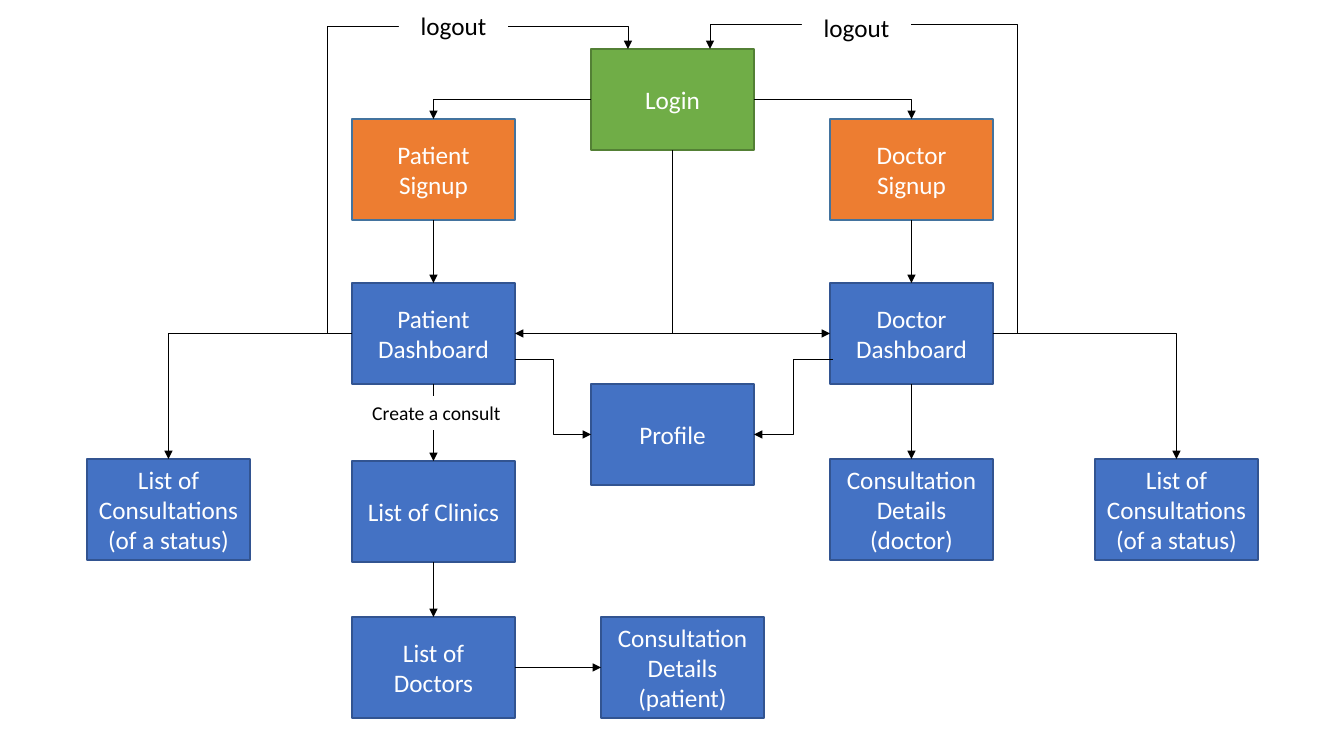
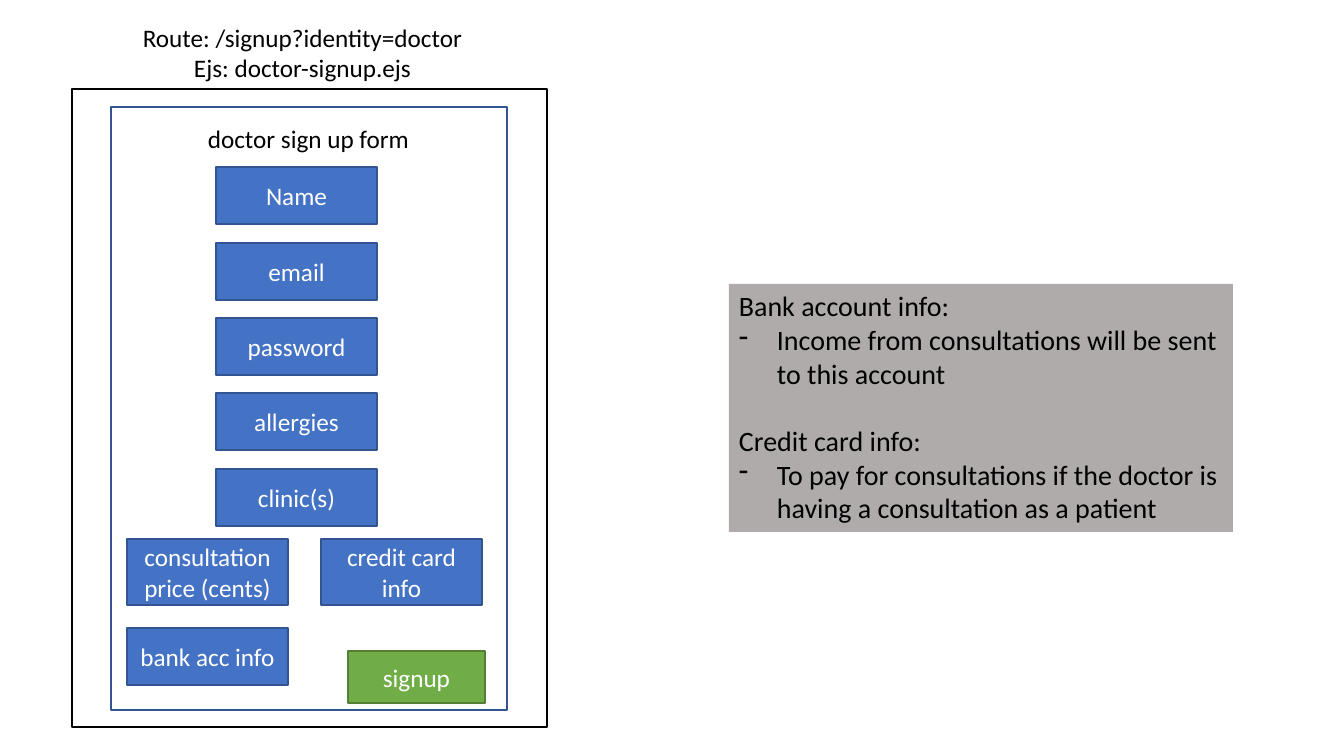
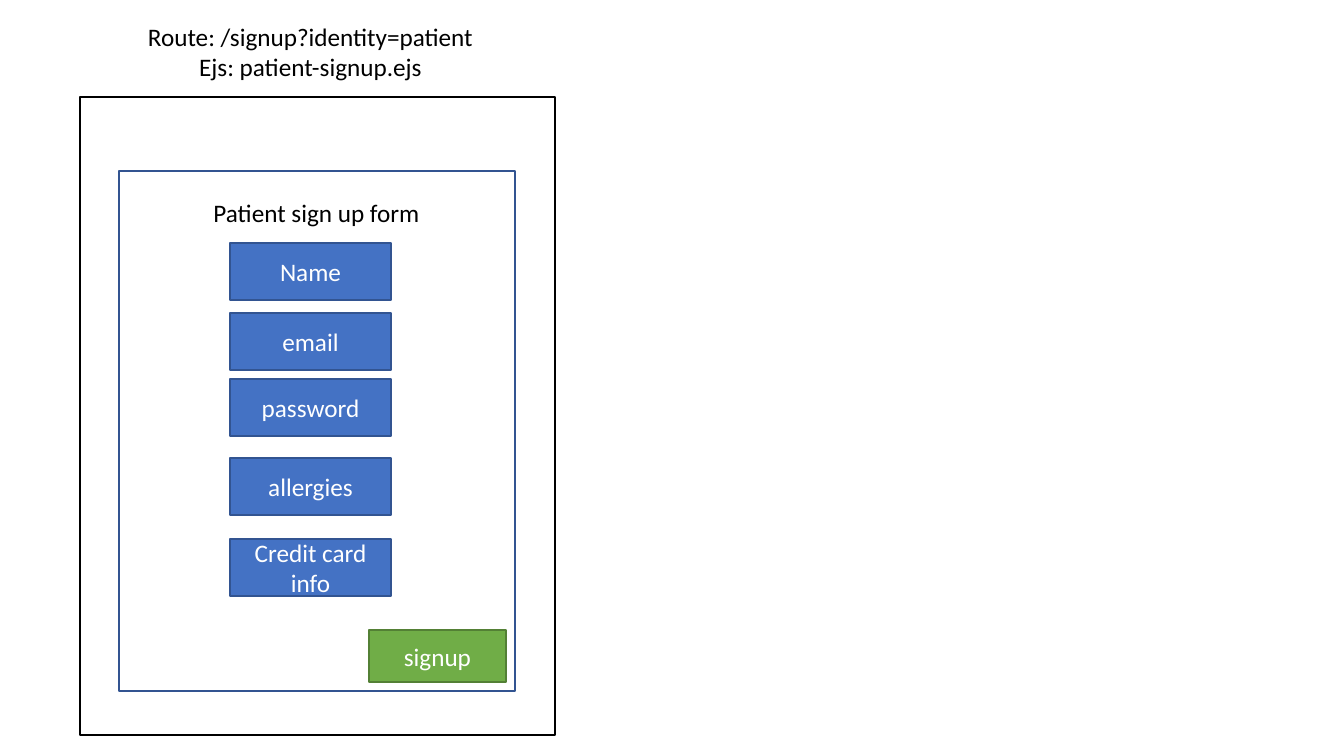
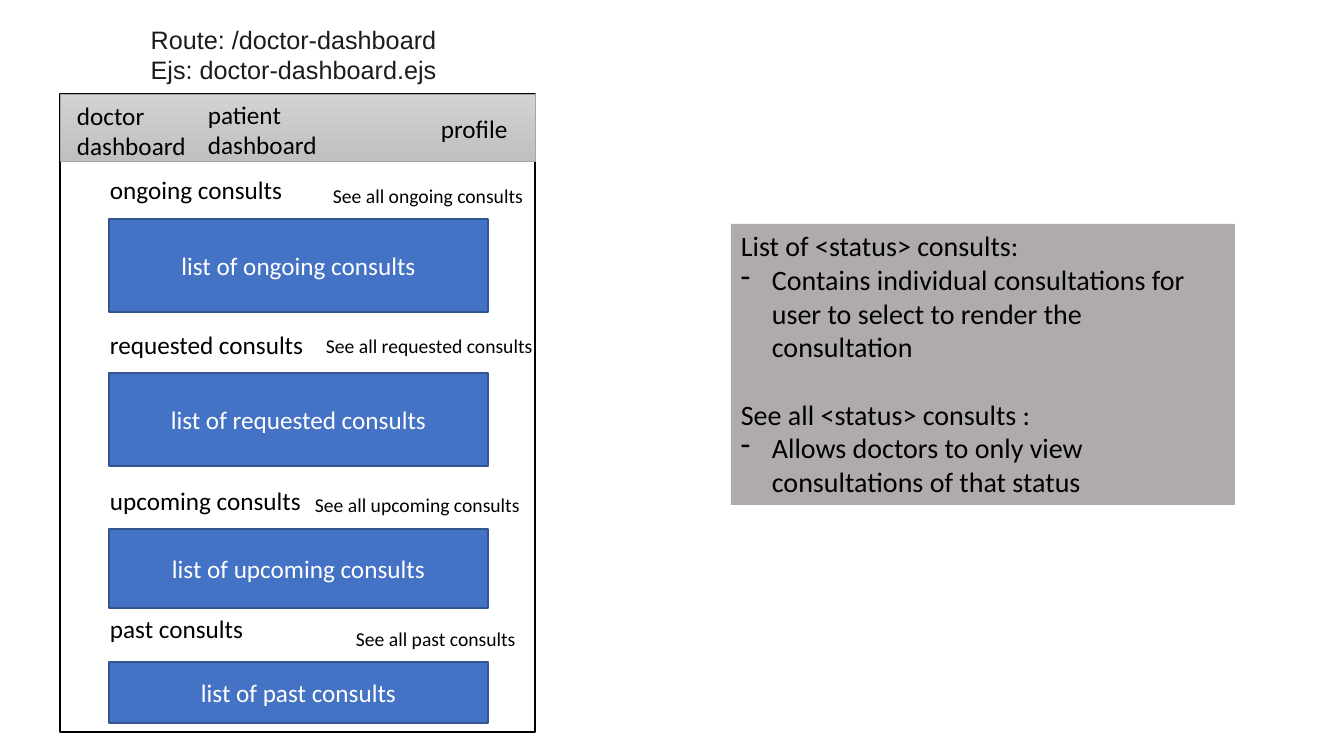
"""Build the clinic app flow chart and its three page wireframes."""
import dataclasses

import lxml.etree
import pptx
import pptx.dml.color
import pptx.enum.shapes
import pptx.enum.text
import pptx.oxml.ns
import pptx.util

Shape = pptx.enum.shapes.MSO_SHAPE
Connector = pptx.enum.shapes.MSO_CONNECTOR
Align = pptx.enum.text.PP_ALIGN
Anchor = pptx.enum.text.MSO_ANCHOR
qn = pptx.oxml.ns.qn
TOP, LEFT, BOTTOM, RIGHT = range(4)


@dataclasses.dataclass(frozen=True)
class Theme:
    """Colours, fonts and sizes shared by every slide."""
    blue: tuple = ("4472C4", "325491")
    green: tuple = ("70AD47", "538035")
    orange: tuple = ("ED7D31", "43739E")
    note: str = "AFABAB"
    bar_stops: tuple = ("D2D2D2", "C0C0C0")
    bar_edge: str = "A5A5A5"
    white: str = "FFFFFF"
    black: str = "000000"
    route_grey: str = "1D1C1D"
    font: str = "Calibri"
    route_font: str = "Arial"
    small: int = 14
    body: int = 18
    large: int = 20
    edge: float = 1
    thin: float = 0.5


@dataclasses.dataclass(frozen=True)
class Box:
    """A rectangle in pixels."""
    x: int
    y: int
    w: int
    h: int

    def inside(self, dx, dy, w, h):
        """Return a box offset from this one's top left corner."""
        return Box(self.x + dx, self.y + dy, w, h)

    def emu(self):
        """Return left, top, width and height in EMU."""
        return [px(value) for value in (self.x, self.y, self.w, self.h)]

    def site(self, side):
        """Return the middle point of one side."""
        return {
            TOP: (self.x + self.w / 2, self.y),
            LEFT: (self.x, self.y + self.h / 2),
            BOTTOM: (self.x + self.w / 2, self.y + self.h),
            RIGHT: (self.x + self.w, self.y + self.h / 2),
        }[side]


THEME = Theme()
PAGE = Box(0, 0, 1344, 756)
FRAME_SIZE = (475, 638)


def px(value):
    """Turn pixels into EMU."""
    return pptx.util.Emu(round(value * 914400 / 100.8))


def rgb(code):
    """Turn a hex code into a colour."""
    return pptx.dml.color.RGBColor.from_string(code)


def add_run(paragraph, text, size, colour, font):
    """Add one styled run."""
    run = paragraph.add_run()
    run.text = text
    run.font.name = font
    run.font.size = pptx.util.Pt(size)
    run.font.color.rgb = rgb(colour)


def write(shape, paragraphs, size=THEME.body, colour=THEME.black, font=THEME.font,
          align=Align.LEFT, anchor=Anchor.TOP):
    """Write paragraphs into a shape; a newline inside one is a line break."""
    frame = shape.text_frame
    frame.word_wrap = True
    frame.vertical_anchor = anchor
    for index, text in enumerate(paragraphs):
        paragraph = frame.add_paragraph() if index else frame.paragraphs[0]
        paragraph.alignment = align
        for number, line in enumerate(text.split("\n")):
            if number:
                paragraph.add_line_break()
            add_run(paragraph, line, size, colour, font)


def panel(shapes, box, fill=None, edge=None, kind=Shape.RECTANGLE):
    """Draw a plain shape with an optional fill and outline."""
    shape = shapes.add_shape(kind, *box.emu())
    shape.shadow.inherit = False
    if fill:
        shape.fill.solid()
        shape.fill.fore_color.rgb = rgb(fill)
    else:
        shape.fill.background()
    if edge:
        shape.line.color.rgb = rgb(edge)
        shape.line.width = pptx.util.Pt(THEME.edge)
    else:
        shape.line.fill.background()
    return shape


def tile(shapes, box, label, colours=THEME.blue, kind=Shape.RECTANGLE):
    """Draw a coloured block with a centred white label."""
    shape = panel(shapes, box, *colours, kind=kind)
    write(shape, [label], colour=THEME.white, align=Align.CENTER, anchor=Anchor.MIDDLE)
    return shape


def caption(shapes, box, *paragraphs, **style):
    """Add a text box."""
    write(shapes.add_textbox(*box.emu()), paragraphs, **style)


def arrow(shapes, start, end, bend="straightConnector1", adjust=(), tip="tailEnd"):
    """Draw an arrow between two points with an optional bend."""
    kind = Connector.ELBOW if bend.startswith("bent") else Connector.STRAIGHT
    line = shapes.add_connector(kind, *[px(value) for value in (*start, *end)])
    line.line.color.rgb = rgb(THEME.black)
    line.line.width = pptx.util.Pt(THEME.thin)
    properties = line._element.spPr
    geometry = properties.find(qn("a:prstGeom"))
    geometry.set("prst", bend)
    guides = geometry.find(qn("a:avLst"))
    for number, share in enumerate(adjust, 1):
        lxml.etree.SubElement(guides, qn("a:gd"), name=f"adj{number}",
                              fmla=f"val {round(share * 100000)}")
    lxml.etree.SubElement(properties.find(qn("a:ln")), qn(f"a:{tip}"), type="triangle")
    lxml.etree.SubElement(properties, qn("a:effectLst"))
    return line


def draw_flow(slide, box):
    """Draw the flow chart of pages from login to consultation."""
    shapes = slide.shapes
    steps = {
        "login": ("Login", 591, 49, THEME.green),
        "doctor signup": ("Doctor Signup", 830, 119, THEME.orange),
        "patient signup": ("Patient Signup", 352, 119, THEME.orange),
        "patient": ("Patient Dashboard", 352, 283, THEME.blue),
        "doctor": ("Doctor Dashboard", 830, 283, THEME.blue),
        "profile": ("Profile", 591, 384, THEME.blue),
        "clinics": ("List of Clinics", 352, 461, THEME.blue),
        "doctors": ("List of Doctors", 352, 617, THEME.blue),
        "patient details": ("Consultation Details (patient)", 601, 617, THEME.blue),
        "doctor details": ("Consultation Details (doctor)", 830, 459, THEME.blue),
        "patient list": ("List of Consultations (of a status)", 87, 459, THEME.blue),
        "doctor list": ("List of Consultations (of a status)", 1095, 459, THEME.blue),
    }
    places, blocks = {}, {}
    for step, (label, x, y, colours) in steps.items():
        places[step] = box.inside(x, y, 163, 101)
        blocks[step] = tile(shapes, places[step], label, colours, Shape.FLOWCHART_PROCESS)

    def link(origin, origin_side, target, target_side, **style):
        """Join two steps at the middle of their sides."""
        line = arrow(shapes, places[origin].site(origin_side),
                     places[target].site(target_side), **style)
        line.begin_connect(blocks[origin], origin_side)
        line.end_connect(blocks[target], target_side)

    for origin, target in (("patient signup", "patient"), ("doctor signup", "doctor"),
                           ("patient", "clinics"), ("clinics", "doctors"),
                           ("doctor", "doctor details")):
        link(origin, BOTTOM, target, TOP)
    link("doctors", RIGHT, "patient details", LEFT)

    login, profile = places["login"], places["profile"]
    for role, outer, inner, lane, rise, exit_x, inset in (
            ("patient", LEFT, RIGHT, 25, 23, 37, 0),
            ("doctor", RIGHT, LEFT, 24, 25, 119, 3)):
        link("login", outer, f"{role} signup", TOP, bend="bentConnector2")
        link(role, inner, "login", BOTTOM, bend="bentConnector2", tip="headEnd")
        link(role, outer, f"{role} list", TOP, bend="bentConnector2")
        start = places[role].site(outer)
        end = (login.x + exit_x, login.y)
        arrow(shapes, start, end, "bentConnector4",
              (-lane / abs(end[0] - start[0]), 1 + rise / (start[1] - end[1])))
        side_x, side_y = places[role].site(inner)
        arrow(shapes, (side_x + inset, side_y + 26), profile.site(outer),
              "bentConnector3", (0.5,))

    for label, place, size in (("logout", (399, 5, 109, 40), THEME.body),
                               ("logout", (802, 7, 109, 40), THEME.body),
                               ("Create a consult", (355, 396, 163, 34), THEME.small)):
        write(panel(shapes, box.inside(*place), THEME.white), [label], size,
              align=Align.CENTER)


def draw_page(slide, box, route, template, dx, dy, **style):
    """Draw a page outline with its route and template above it."""
    panel(slide.shapes, box, edge=THEME.black)
    caption(slide.shapes, box.inside(dx, dy, box.w, 72), f"Route: {route}",
            f"Ejs: {template}", align=Align.CENTER, **style)


def draw_form(slide, box, heading, heading_y, fields, button):
    """Draw a sign up form with its fields and button."""
    shapes = slide.shapes
    panel(shapes, box, edge=THEME.blue[1])
    caption(shapes, box.inside((box.w - 229) // 2, heading_y, 229, 40), heading,
            align=Align.CENTER)
    for label, x, y, height in fields:
        tile(shapes, box.inside(x, y, 161, height), label)
    tile(shapes, box.inside(*button, 137, 52), "signup", THEME.green)


def draw_note(slide, box, indent, topics):
    """Draw a grey note of headings, each with one dashed point."""
    frame_shape = panel(slide.shapes, box, THEME.note)
    frame = frame_shape.text_frame
    frame.word_wrap = True
    frame.vertical_anchor = Anchor.TOP
    for index, (heading, point) in enumerate(topics):
        title = frame.add_paragraph() if index else frame.paragraphs[0]
        detail = frame.add_paragraph()
        if index:
            title.space_before = pptx.util.Pt(24)
        properties = detail._p.get_or_add_pPr()
        properties.set("marL", str(px(indent)))
        properties.set("indent", str(-px(indent)))
        lxml.etree.SubElement(properties, qn("a:buFontTx"))
        lxml.etree.SubElement(properties, qn("a:buChar"), char="-")
        for paragraph, text in ((title, heading), (detail, point)):
            paragraph.alignment = Align.LEFT
            add_run(paragraph, text, THEME.large, THEME.black, THEME.font)


def draw_navigation(slide, box):
    """Draw the grey navigation bar as one group."""
    shapes = slide.shapes.add_group_shape().shapes
    bar = panel(shapes, box, edge=THEME.bar_edge)
    bar.line.width = pptx.util.Pt(THEME.thin)
    bar.fill.gradient()
    bar.fill.gradient_angle = 270
    for stop, colour in zip(bar.fill.gradient_stops, THEME.bar_stops):
        stop.color.rgb = rgb(colour)
    for label, *place in (("profile", 371, 14, 105, 40),
                          ("doctor\ndashboard", 7, 1, 138, 72),
                          ("patient\ndashboard", 138, 0, 138, 72)):
        caption(shapes, box.inside(*place), label)


def draw_consults(slide, box):
    """Draw the four consult sections of the dashboard."""
    shapes = slide.shapes
    for status, title_y, list_y, list_h, link_x, link_y in (
            ("ongoing", 75, 125, 93, 263, 85),
            ("requested", 230, 279, 93, 256, 235),
            ("upcoming", 386, 435, 79, 245, 394),
            ("past", 514, 568, 61, 286, 528)):
        caption(shapes, box.inside(40, title_y, 220, 40), f"{status} consults")
        tile(shapes, box.inside(49, list_y, 379, list_h), f"list of {status} consults")
        caption(shapes, box.inside(link_x, link_y, 231, 34),
                f"See all {status} consults", size=THEME.small)


def doctor_signup(slide):
    """Build the doctor sign up slide."""
    page = Box(72, 89, *FRAME_SIZE)
    draw_page(slide, page, "/signup?identity=doctor", "doctor-signup.ejs", -7, -72)
    column = ("Name", "email", "password", "allergies", "clinic(s)")
    fields = [(label, 105, round(60 + row * 75.5), 57) for row, label in enumerate(column)]
    fields += [("consultation price (cents)", 16, 432, 66),
               ("credit card info", 210, 432, 66), ("bank acc info", 16, 521, 57)]
    draw_form(slide, page.inside(39, 18, 396, 603), "doctor sign up form", 11, fields,
              (237, 544))
    draw_note(slide, Box(729, 284, 504, 248), 38, (
        ("Bank account info:", "Income from consultations will be sent to this account"),
        ("Credit card info:", "To pay for consultations if the doctor is having a "
                              "consultation as a patient")))


def patient_signup(slide):
    """Build the patient sign up slide."""
    page = Box(80, 97, *FRAME_SIZE)
    draw_page(slide, page, "/signup?identity=patient", "patient-signup.ejs", -7, -81)
    rows = (("Name", 72), ("email", 142), ("password", 208), ("allergies", 287),
            ("Credit card info", 368))
    draw_form(slide, page.inside(39, 74, 396, 520), "Patient sign up form", 21,
              [(label, 111, y, 57) for label, y in rows], (250, 459))


def doctor_dashboard(slide):
    """Build the doctor dashboard slide."""
    page = Box(60, 94, *FRAME_SIZE)
    draw_page(slide, page, "/doctor-dashboard", "doctor-dashboard.ejs", -4, -75,
              font=THEME.route_font, colour=THEME.route_grey)
    draw_consults(slide, page)
    draw_navigation(slide, page.inside(0, 0, page.w, 67))
    draw_note(slide, Box(731, 224, 504, 281), 31, (
        ("List of <status> consults:", "Contains individual consultations for user to "
                                       "select to render the consultation"),
        ("See all <status> consults :", "Allows doctors to only view consultations of "
                                        "that status")))


def app_flow(slide):
    """Build the flow chart slide."""
    draw_flow(slide, PAGE)


def main():
    """Build and save the presentation."""
    deck = pptx.Presentation()
    deck.slide_width, deck.slide_height = px(PAGE.w), px(PAGE.h)
    for build in (app_flow, doctor_signup, patient_signup, doctor_dashboard):
        build(deck.slides.add_slide(deck.slide_layouts[6]))
    deck.save("out.pptx")


main()
